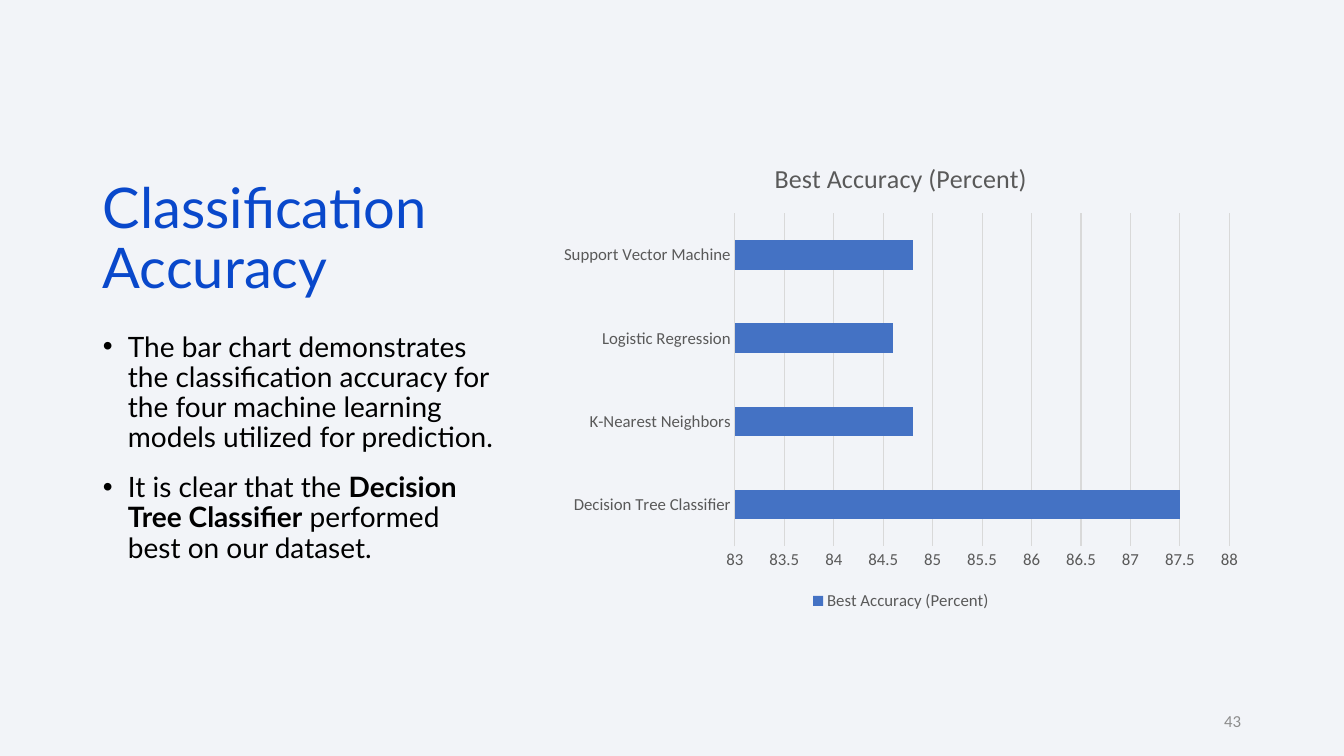
from lxml.etree import SubElement
from pptx import Presentation
from pptx.chart.data import CategoryChartData
from pptx.dml.color import RGBColor
from pptx.enum.chart import XL_CHART_TYPE, XL_LEGEND_POSITION, XL_TICK_MARK
from pptx.enum.text import MSO_ANCHOR, PP_ALIGN
from pptx.oxml.ns import qn
from pptx.util import Pt

SLIDE = (1344, 756)
PX = 12192000 / SLIDE[0]
COLORS = {
    "background": "F2F4F8",
    "title": "0948CB",
    "body": "000000",
    "number": "8C8C8C",
    "chart_text": "595959",
    "grid": "D9D9D9",
    "bar": "4472C4",
}
TITLE = "Classification Accuracy"
BULLETS = [
    [("The bar chart demonstrates the classification accuracy for the four "
      "machine learning models utilized for prediction.", False)],
    [("It is clear that the ", False),
     ("Decision Tree Classifier", True),
     (" performed best on our dataset.", False)],
]
BULLET_INDENT = 25
PAGE_NUMBER = "43"
MEASURE = "Best Accuracy (Percent)"
ACCURACY = {
    "Decision Tree Classifier": 87.5,
    "K-Nearest Neighbors": 84.8,
    "Logistic Regression": 84.6,
    "Support Vector Machine": 84.8,
}
AXIS_RANGE = (83, 88, 0.5)
BOXES = {
    "title": (93, 63, 417, 243),
    "body": (93, 328, 413, 347),
    "number": (949, 701, 302, 40),
    "chart": (550, 141, 702, 474),
}


def px(length):
    return round(length * PX)


def rgb(name):
    return RGBColor.from_string(COLORS[name])


def style_font(font, face, size, color, bold=False):
    font.name, font.size, font.bold = face, Pt(size), bold
    font.color.rgb = rgb(color)


def add_text_frame(slide, name, anchor):
    tf = slide.shapes.add_textbox(*map(px, BOXES[name])).text_frame
    tf.word_wrap = True
    tf.vertical_anchor = anchor
    return tf


def add_run(p, text, *style):
    r = p.add_run()
    r.text = text
    style_font(r.font, *style)


def add_bullet(p):
    pPr = p._p.get_or_add_pPr()
    pPr.set("marL", str(px(BULLET_INDENT)))
    pPr.set("indent", str(px(-BULLET_INDENT)))
    SubElement(pPr, qn("a:buFont"), typeface="Arial")
    SubElement(pPr, qn("a:buChar"), char="•")


def add_body(slide):
    tf = add_text_frame(slide, "body", MSO_ANCHOR.TOP)
    for i, runs in enumerate(BULLETS):
        p = tf.add_paragraph() if i else tf.paragraphs[0]
        p.line_spacing = 0.9
        if i:
            p.space_before = Pt(14)
        add_bullet(p)
        for text, bold in runs:
            add_run(p, text, "Lato", 20, "body", bold)


def style_line(line):
    line.color.rgb = rgb("grid")
    line.width = Pt(0.75)


def add_accuracy_chart(slide):
    data = CategoryChartData()
    data.categories = list(ACCURACY)
    data.add_series(MEASURE, list(ACCURACY.values()))
    chart = slide.shapes.add_chart(
        XL_CHART_TYPE.BAR_CLUSTERED, *map(px, BOXES["chart"]), data).chart
    style_font(chart.font, "Calibri", 12, "chart_text")

    chart.has_title = True
    add_run(chart.chart_title.text_frame.paragraphs[0], MEASURE,
            "Calibri", 18.6, "chart_text")
    chart.chart_title.include_in_layout = False
    chart.has_legend = True
    chart.legend.position = XL_LEGEND_POSITION.BOTTOM
    chart.legend.include_in_layout = False
    style_font(chart.legend.font, "Calibri", 12, "chart_text")

    plot = chart.plots[0]
    plot.vary_by_categories = False
    plot.gap_width = 182
    fill = plot.series[0].format.fill
    fill.solid()
    fill.fore_color.rgb = rgb("bar")

    models, percent = chart.category_axis, chart.value_axis
    for axis in (models, percent):
        axis.major_tick_mark = axis.minor_tick_mark = XL_TICK_MARK.NONE
        style_font(axis.tick_labels.font, "Calibri", 12, "chart_text")
    style_line(models.format.line)
    percent.format.line.fill.background()
    percent.has_major_gridlines = True
    style_line(percent.major_gridlines.format.line)
    percent.minimum_scale, percent.maximum_scale, percent.major_unit = AXIS_RANGE


def main():
    prs = Presentation()
    prs.slide_width, prs.slide_height = map(px, SLIDE)
    s = prs.slides.add_slide(prs.slide_layouts[6])
    s.background.fill.solid()
    s.background.fill.fore_color.rgb = rgb("background")

    p = add_text_frame(s, "title", MSO_ANCHOR.BOTTOM).paragraphs[0]
    p.line_spacing = 0.9
    add_run(p, TITLE, "Lato", 40, "title")
    add_body(s)
    p = add_text_frame(s, "number", MSO_ANCHOR.MIDDLE).paragraphs[0]
    p.alignment = PP_ALIGN.RIGHT
    add_run(p, PAGE_NUMBER, "Calibri", 12, "number")
    add_accuracy_chart(s)
    prs.save("out.pptx")


if __name__ == "__main__":
    main()
